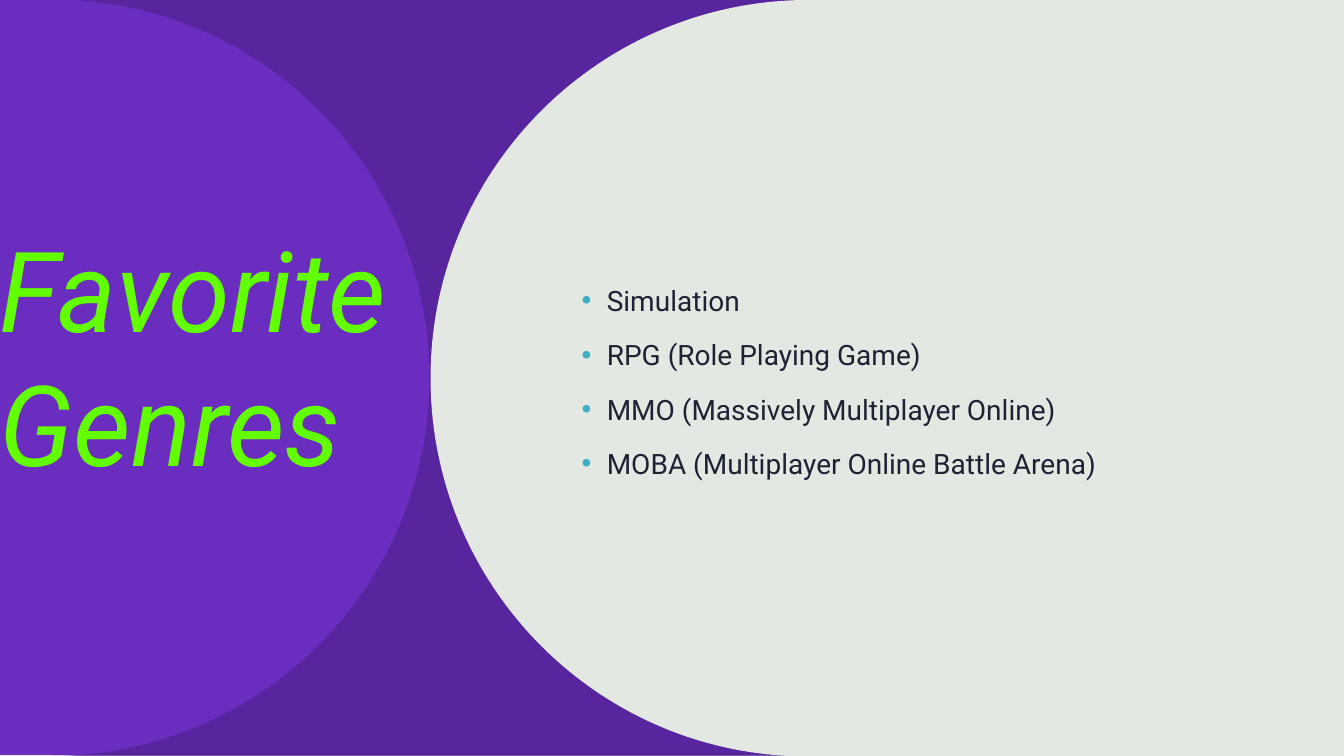
from lxml import etree
from pptx import Presentation
from pptx.dml.color import RGBColor
from pptx.enum.shapes import MSO_SHAPE
from pptx.enum.text import MSO_ANCHOR
from pptx.oxml.ns import qn
from pptx.util import Inches, Pt

TITLE = "Favorite Genres"
GENRES = [
    "Simulation",
    "RPG (Role Playing Game)",
    "MMO (Massively Multiplayer Online)",
    "MOBA (Multiplayer Online Battle Arena)",
]

FONT = "Roboto"
PALE = RGBColor(0xE3, 0xE8, 0xE2)
PURPLE = RGBColor(0x6A, 0x2D, 0xBF)
DARK_PURPLE = RGBColor(0x4F, 0x22, 0x8F)
LIME = RGBColor(0x62, 0xFF, 0x00)
INK = RGBColor(0x1D, 0x23, 0x34)
TEAL = RGBColor(0x3C, 0xAF, 0xC6)
RECTANGLE = MSO_SHAPE.RECTANGLE
MIDDLE = MSO_ANCHOR.MIDDLE

WIDTH, HEIGHT = 13.33, 7.5
# Start point, then two Bezier quarters of three points each.
SHADE_ARC = [(0.71, 0),
             (2.69, 0.1), (4.26, 1.74), (4.26, 3.75),
             (4.26, 5.82), (2.58, 7.5), (0.51, 7.5)]
# The pale panel's arc is the shade's arc turned by half a circle.
PANEL_ARC = [(8.53 - x, HEIGHT - y) for x, y in SHADE_ARC]

prs = Presentation()
prs.slide_width, prs.slide_height = Inches(WIDTH), Inches(HEIGHT)
s = prs.slides.add_slide(prs.slide_layouts[6])
s.background.fill.solid()
s.background.fill.fore_color.rgb = PALE


def paint(sp, color):
    sp.shadow.inherit = False
    sp.fill.solid()
    sp.fill.fore_color.rgb = color
    sp.line.fill.background()


def add_arc_panel(arc, right, color):
    """Panel bounded by a Bezier arc on the left and a straight edge at right."""
    corners = [(right, arc[-1][1]), (right, arc[0][1])]
    points = [(Inches(x), Inches(y)) for x, y in arc + corners]
    builder = s.shapes.build_freeform(*points[0])
    builder.add_line_segments(points[1:], close=True)
    sp = builder.convert_to_shape()
    segments = list(sp._element.iter(qn("a:lnTo")))
    for i in range(0, len(arc) - 1, 3):
        curve = etree.Element(qn("a:cubicBezTo"))
        segments[i].addprevious(curve)
        for segment in segments[i:i + 3]:
            curve.append(segment[0])
            segment.getparent().remove(segment)
    paint(sp, color)
    return sp


def add_text(left, top, width, height, lines, size, color):
    box = s.shapes.add_textbox(*map(Inches, (left, top, width, height)))
    tf = box.text_frame
    tf.word_wrap = True
    tf.vertical_anchor = MIDDLE
    tf.text = "\n".join(lines)
    for p in tf.paragraphs:
        for r in p.runs:
            r.font.name, r.font.size = FONT, Pt(size)
            r.font.color.rgb = color
    return tf


def add_bullet(p):
    pPr = p._p.get_or_add_pPr()
    pPr.set("marL", str(Inches(0.25)))
    pPr.set("indent", str(-Inches(0.25)))
    bullet_color = etree.SubElement(pPr, qn("a:buClr"))
    etree.SubElement(bullet_color, qn("a:srgbClr"), val=str(TEAL))
    etree.SubElement(pPr, qn("a:buFont"), typeface="Arial")
    etree.SubElement(pPr, qn("a:buChar"), char="•")


base = s.shapes.add_shape(RECTANGLE, Inches(-0.01), 0, Inches(8.61), Inches(7.49))
paint(base, PURPLE)

shade = add_arc_panel(SHADE_ARC, 8.55, DARK_PURPLE)
shade_color = next(shade._element.spPr.iter(qn("a:srgbClr")))
etree.SubElement(shade_color, qn("a:alpha"), val="70000")

title = add_text(-0.1, 0.42, 4.63, 6.2, [TITLE], 80, LIME)
title.paragraphs[0].runs[0].font.italic = True

add_arc_panel(PANEL_ARC, 10.79, PALE)

genres = add_text(5.67, 0.75, 6.67, 6.01, GENRES, 20, INK)
for i, p in enumerate(genres.paragraphs):
    add_bullet(p)
    p.line_spacing = 1.2
    p.space_before = Pt(10 if i else 0)

prs.save("out.pptx")
